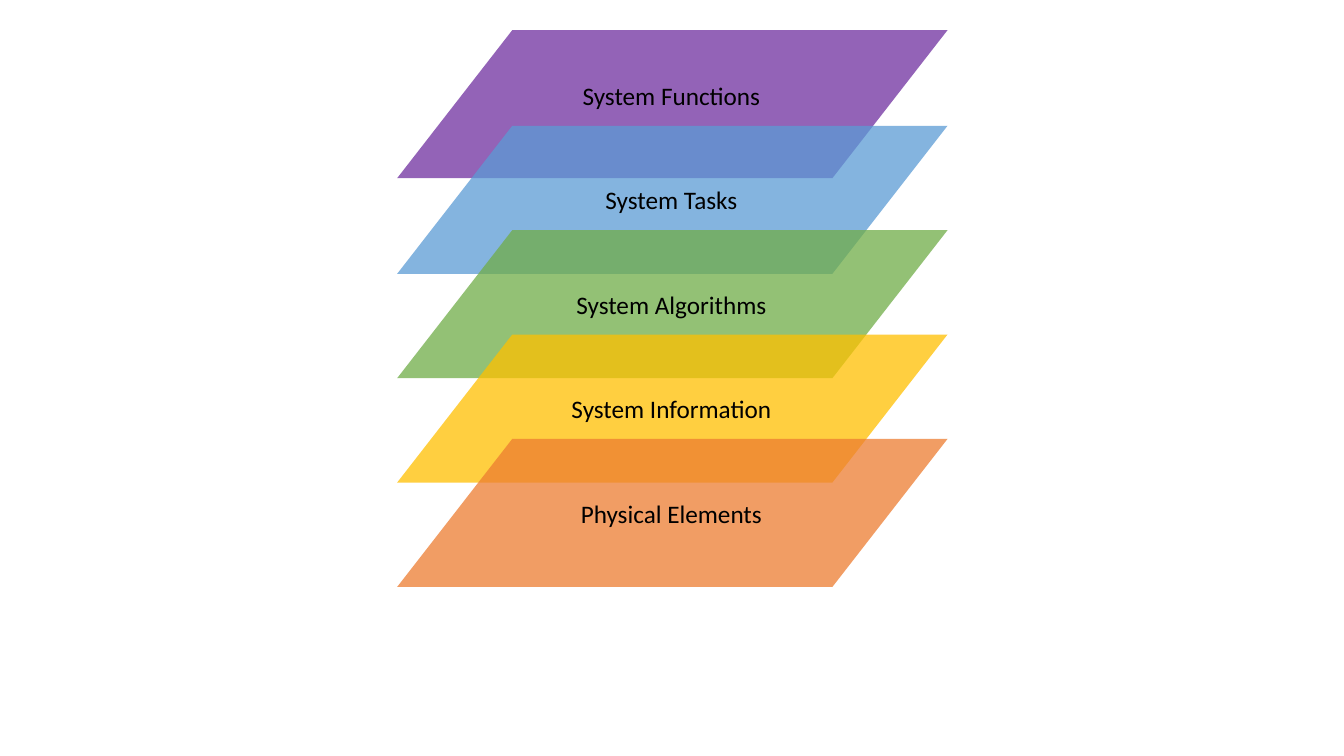
from lxml.etree import SubElement
from pptx import Presentation
from pptx.dml.color import RGBColor
from pptx.enum.shapes import MSO_SHAPE
from pptx.enum.text import MSO_AUTO_SIZE, PP_ALIGN
from pptx.oxml.ns import qn
from pptx.util import Cm, Pt

COLORS = {
    "purple": "7030A0",
    "blue": "5B9BD5",
    "green": "70AD47",
    "gold": "FFC000",
    "orange": "ED7D31",
    "black": "000000",
}
LAYERS = [
    ("System Functions", "purple", 5.31),
    ("System Tasks", "blue", 5.28),
    ("System Algorithms", "green", 5.84),
    ("System Information", "gold", 5.87),
    ("Physical Elements", "orange", 5.54),
]

SLIDE_WIDTH, SLIDE_HEIGHT = 33.87, 19.05
LAYER_LEFT, LAYER_WIDTH, LAYER_HEIGHT = 10.01, 13.87, 3.73
FIRST_LAYER_TOP, SECOND_LAYER_TOP = 0.76, 3.17
LABEL_TOP, LABEL_HEIGHT, LABEL_CENTER = 1.9, 1.02, 16.92
STEP = 2.63
SLANT = 0.778
OPACITY = 75


def add_layer(slide, top, color):
    layer = slide.shapes.add_shape(
        MSO_SHAPE.PARALLELOGRAM,
        Cm(LAYER_LEFT), Cm(top), Cm(LAYER_WIDTH), Cm(LAYER_HEIGHT),
    )
    layer.adjustments[0] = SLANT
    layer.shadow.inherit = False
    layer.line.fill.background()
    layer.fill.solid()
    layer.fill.fore_color.rgb = RGBColor.from_string(COLORS[color])
    tint = layer.fill._xPr.find(qn("a:solidFill"))[0]
    SubElement(tint, qn("a:alpha"), val=str(OPACITY * 1000))


def add_label(slide, text, top, width, size=18, font="Calibri",
              color="black", align=PP_ALIGN.CENTER):
    label = slide.shapes.add_textbox(
        Cm(LABEL_CENTER - width / 2), Cm(top), Cm(width), Cm(LABEL_HEIGHT)
    )
    frame = label.text_frame
    frame.word_wrap = True
    frame.auto_size = MSO_AUTO_SIZE.SHAPE_TO_FIT_TEXT
    paragraph = frame.paragraphs[0]
    paragraph.alignment = align
    run = paragraph.add_run()
    run.text = text
    run.font.size = Pt(size)
    run.font.name = font
    run.font.color.rgb = RGBColor.from_string(COLORS[color])


def main():
    deck = Presentation()
    deck.slide_width, deck.slide_height = Cm(SLIDE_WIDTH), Cm(SLIDE_HEIGHT)
    slide = deck.slides.add_slide(deck.slide_layouts[6])

    for level, (_, color, _) in enumerate(LAYERS):
        top = SECOND_LAYER_TOP + (level - 1) * STEP if level else FIRST_LAYER_TOP
        add_layer(slide, top, color)

    for level, (name, _, width) in enumerate(LAYERS):
        add_label(slide, name, LABEL_TOP + level * STEP, width)

    deck.save("out.pptx")


if __name__ == "__main__":
    main()
